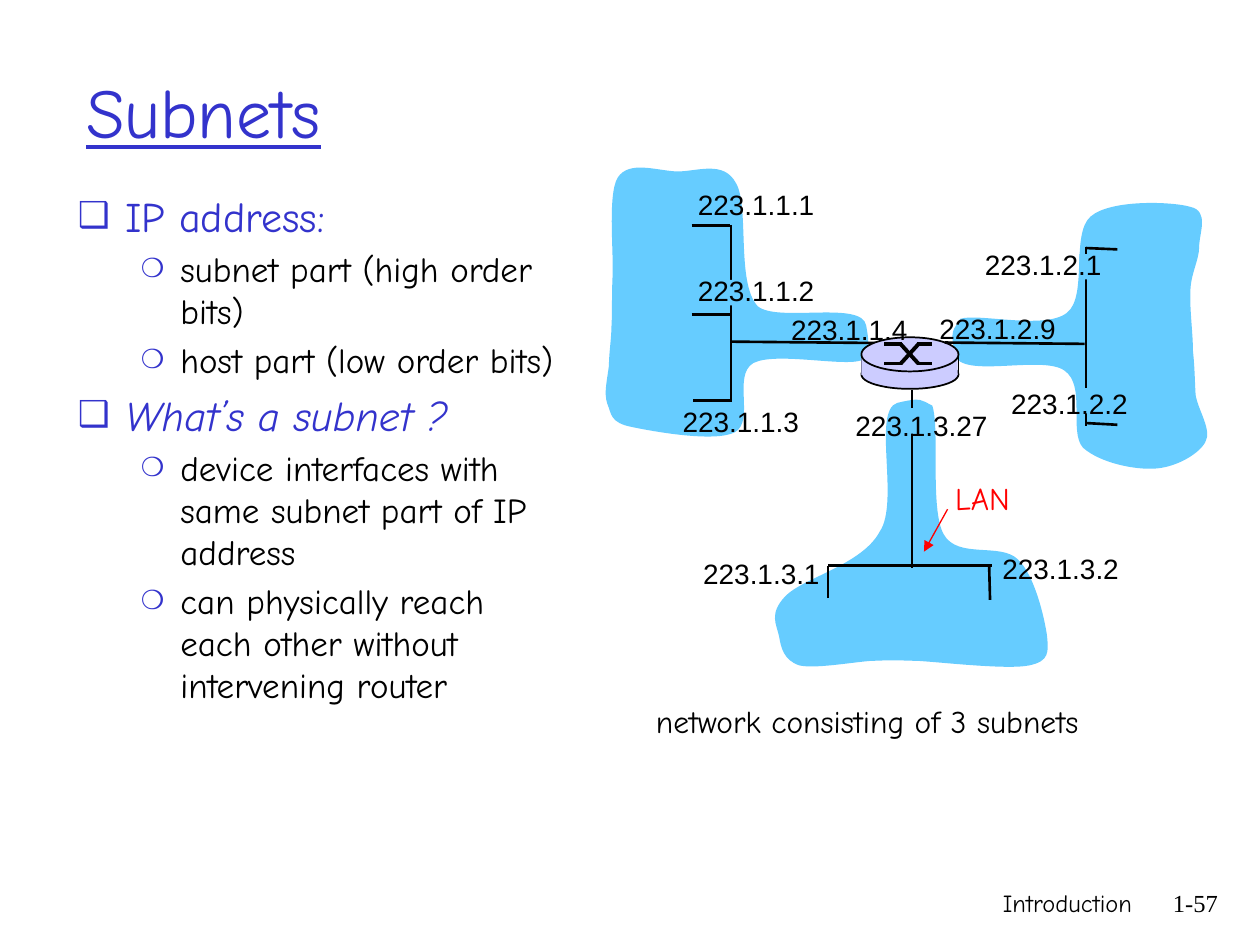
from lxml import etree
from pptx import Presentation
from pptx.dml.color import RGBColor
from pptx.enum.shapes import MSO_CONNECTOR, MSO_SHAPE
from pptx.enum.text import MSO_ANCHOR, MSO_AUTO_SIZE, PP_ALIGN
from pptx.oxml.ns import qn
from pptx.util import Pt

STRAIGHT = MSO_CONNECTOR.STRAIGHT
RECTANGLE, OVAL = MSO_SHAPE.RECTANGLE, MSO_SHAPE.OVAL
LEFT, RIGHT = PP_ALIGN.LEFT, PP_ALIGN.RIGHT
MIDDLE = MSO_ANCHOR.MIDDLE
NO_AUTOFIT = MSO_AUTO_SIZE.NONE

BLACK = RGBColor(0x00, 0x00, 0x00)
INDIGO = RGBColor(0x33, 0x33, 0xCC)
SKY = RGBColor(0x66, 0xCC, 0xFF)
LAVENDER = RGBColor(0xCC, 0xCC, 0xFF)
RED = RGBColor(0xFF, 0x00, 0x00)
COMIC, ARIAL, TIMES = "Comic Neue", "Arial", "Times New Roman"

OUTLINE = [
    (0, "IP address:", False),
    (1, "subnet part (high order bits)", False),
    (1, "host part (low order bits)", False),
    (0, "What’s a subnet ?", True),
    (1, "device interfaces with same subnet part of IP address", False),
    (1, "can physically reach each other without intervening router", False),
]
LEVELS = [
    dict(size=24, color=INDIGO, indent=27, hang=27, bullet="❑", percent=85),
    dict(size=20, color=BLACK, indent=58.5, hang=22.5, bullet="❍", percent=75),
]

LEFT_SUBNET = dict(
    origin=(0, 0),
    cloud=[(150, 94.5), (147.5, 80), (99.5, 93), (88, 83.5), (75.5, 70), (83.5, 26), (75.5, 13),
           (68.5, 0), (53.5, 6.5), (42, 6.5), (30, 6), (14.5, 0), (8, 10), (2, 20), (6, 54), (5, 68),
           (4.5, 82), (5, 86), (4.5, 93.5), (4.5, 102), (3, 110), (3, 117.5), (2, 125.5), (0, 133),
           (2, 139), (4.5, 145), (3.5, 150), (16, 152.5), (28, 155), (63.5, 161.5), (75, 155.5),
           (86.5, 149), (73.5, 123), (85.5, 116), (98, 109.5), (136, 118), (147, 114.5),
           (151, 108), (152.5, 108.5), (150, 94.5)],
    wires=[(50.25, 37.5, 72, 37.5), (72.75, 37, 72.75, 138), (50.25, 88.25, 72, 88.25),
           (51, 137.5, 72.5, 137.5), (72.5, 103.75, 155, 104.5)],
    gaps=[(54, 68.5, 24.5, 14.5)],
    addresses=[("223.1.1.1", 46.75, 12), ("223.1.1.2", 46.75, 61.25),
               ("223.1.1.3", 38, 136), ("223.1.1.4", 100, 83.5)])
RIGHT_SUBNET = dict(
    origin=(197.75, 22.25),
    cloud=[(3, 89), (6.5, 103), (53, 89), (65.5, 98), (78, 106.5), (68, 132.5), (76, 142), (86, 151),
           (106.5, 155), (118, 154), (130, 153), (142.5, 145.5), (146, 139), (150, 132), (142, 121),
           (140.5, 112), (140, 104), (140, 96.5), (139, 87), (139, 77), (137, 62.5), (137.5, 53),
           (137.5, 43), (142.5, 35), (142.5, 27.5), (142.5, 19.5), (148.5, 7), (137.5, 4.5),
           (127.5, 1.5), (92, 0), (80.5, 10), (69, 20), (79, 55.5), (67, 65), (54.5, 75), (16, 65),
           (6, 68.5), (2, 75.5), (0, 74), (3, 89)],
    wires=[(-3, 82, 77, 82.75), (77.75, 27.5, 77.75, 129.5),
           (77.75, 28, 95.75, 28.75), (77.75, 128, 95.75, 129)],
    gaps=[(73.5, 108, 13.5, 14.5), (74, 31.5, 19.5, 14.5)],
    addresses=[("223.1.2.9", -13, 60.5), ("223.1.2.2", 28, 103.75), ("223.1.2.1", 13, 24)])
LOWER_SUBNET = dict(
    origin=(94.25, 135.25),
    cloud=[(73.5, 3.5), (59, 8), (75, 60), (63.5, 77), (53.5, 96), (19.5, 103.5), (9.5, 114),
           (0, 124), (4.5, 130), (6, 137), (7, 143), (8.5, 150.5), (17.5, 153.5), (26, 155.5),
           (46, 152), (57.5, 151), (69, 150.5), (71.5, 150.5), (86.5, 151), (101.5, 152), (137, 156),
           (149, 153.5), (160.5, 151), (160, 146), (159, 136), (157.5, 126), (152, 102), (142.5, 93),
           (132.5, 83), (108, 93), (100, 78.5), (92, 64), (98, 18), (93.5, 5), (87, 2), (88, 0),
           (73.5, 3.5)],
    wires=[(82, -4, 82, 98), (127.5, 96.5, 34, 96.5), (34, 115, 34, 96.5), (126.5, 116, 126, 96.5)],
    gaps=[(77, 6.5, 10, 14.5)],
    addresses=[("223.1.3.2", 126.5, 84.75), ("223.1.3.1", -44.5, 87.75), ("223.1.3.27", 42.5, 3.25)])
SUBNETS = [LEFT_SUBNET, RIGHT_SUBNET, LOWER_SUBNET]


def add_run(paragraph, text, size, font, color):
    """Append one formatted run and return it."""
    run = paragraph.add_run()
    run.text = text
    run.font.size, run.font.name = Pt(size), font
    run.font.color.rgb = color
    return run


def add_label(slide, text, left, top, width, height, size, font, color, align=LEFT, wrap=False):
    """Place a single-line text box."""
    frame = slide.shapes.add_textbox(Pt(left), Pt(top), Pt(width), Pt(height)).text_frame
    frame.word_wrap = wrap
    frame.paragraphs[0].alignment = align
    add_run(frame.paragraphs[0], text, size, font, color)


def add_line(slide, x1, y1, x2, y2, width, color=BLACK):
    """Draw a straight line without shadow and return it."""
    line = slide.shapes.add_connector(STRAIGHT, Pt(x1), Pt(y1), Pt(x2), Pt(y2))
    line.line.width = Pt(width)
    line.line.color.rgb = color
    etree.SubElement(line._element.spPr, qn("a:effectLst"))
    return line


def paint(shape, fill, outlined=False):
    """Fill a shape, with a thin black outline if wanted."""
    shape.shadow.inherit = False
    shape.fill.solid()
    shape.fill.fore_color.rgb = fill
    if outlined:
        shape.line.color.rgb = BLACK
        shape.line.width = Pt(1)
    else:
        shape.line.fill.background()


def add_block(slide, kind, left, top, width, height, fill, outlined=False):
    """Draw a filled preset shape."""
    paint(slide.shapes.add_shape(kind, Pt(left), Pt(top), Pt(width), Pt(height)), fill, outlined)


def draw_cloud(slide, left, top, knots):
    """Draw the area of one subnet, turning each three segments into one Bézier curve."""
    points = [(Pt(left + x), Pt(top + y)) for x, y in knots]
    builder = slide.shapes.build_freeform(*points[0])
    builder.add_line_segments(points[1:], close=True)
    cloud = builder.convert_to_shape()
    segments = list(cloud._element.iter(qn("a:lnTo")))
    for start in range(0, len(knots) - 1, 3):
        curve = etree.Element(qn("a:cubicBezTo"))
        segments[start].addprevious(curve)
        for segment in segments[start:start + 3]:
            curve.append(segment[0])
            segment.getparent().remove(segment)
    paint(cloud, SKY)


def draw_wires(slide, left, top, wires):
    """Draw the cables of one subnet."""
    for x1, y1, x2, y2 in wires:
        add_line(slide, left + x1, top + y1, left + x2, top + y2, 1.5)


def draw_addresses(slide, left, top, gaps, addresses):
    """Break the cables and write the interface addresses there."""
    for x, y, width, height in gaps:
        add_block(slide, RECTANGLE, left + x, top + y, width, height, SKY)
    for address, x, y in addresses:
        add_label(slide, address, left + x, top + y, 9 * len(address), 26.5, 16, ARIAL, BLACK)


def draw_router(slide, left, top, width=55.5):
    """Draw the router as a cylinder with a crossing mark."""
    add_block(slide, OVAL, left, top + 13, width, 16.5, LAVENDER, True)
    for x in (left, left + width):
        add_line(slide, x, top + 11.5, x, top + 21.5, 1)
    add_block(slide, RECTANGLE, left, top + 11.5, width - 0.5, 10, LAVENDER)
    add_block(slide, OVAL, left, top, width, 19.5, LAVENDER, True)
    upper, lower = top + 4, top + 15
    for start, end in ((upper, lower), (lower, upper)):
        add_line(slide, left + 13, start, left + 23, start, 2.25)
        add_line(slide, left + 22.5, start, left + 32.5, end, 2.25)
        add_line(slide, left + 31.5, end, left + 40.5, end, 2.25)


def draw_network(slide, left, top):
    """Draw the three subnets around the router, with caption and LAN pointer."""
    places = [(left + s["origin"][0], top + s["origin"][1], s) for s in SUBNETS]
    for x, y, subnet in places:
        draw_cloud(slide, x, y, subnet["cloud"])
    for index, (x, y, subnet) in enumerate(places):
        draw_wires(slide, x, y, subnet["wires"])
        if index == 0:
            draw_router(slide, left + 147.25, top + 101.25)
    for x, y, subnet in places:
        draw_addresses(slide, x, y, subnet["gaps"], subnet["addresses"])
    add_label(slide, "network consisting of 3 subnets", left + 22.75, top + 306, 281.5, 29, 18, COMIC, BLACK)
    add_label(slide, "LAN", left + 193.75, top + 178.5, 52, 29, 18, COMIC, RED)
    pointer = add_line(slide, left + 196.5, top + 199.5, left + 183, top + 223.75, 0.75, RED)
    etree.SubElement(pointer.line._get_or_add_ln(), qn("a:tailEnd"), type="triangle")


def fill_title(slide, left, top, width, height):
    """Place and format the slide title."""
    title = slide.shapes.title
    title.left, title.top, title.width, title.height = Pt(left), Pt(top), Pt(width), Pt(height)
    frame = title.text_frame
    frame.auto_size, frame.vertical_anchor = NO_AUTOFIT, MIDDLE
    frame.paragraphs[0].alignment = LEFT
    add_run(frame.paragraphs[0], "Subnets", 40, COMIC, INDIGO).font.underline = True


def draw_outline(slide, left, top, width, height):
    """Write the two-level bullet list."""
    frame = slide.shapes.add_textbox(Pt(left), Pt(top), Pt(width), Pt(height)).text_frame
    frame.word_wrap = True
    for index, (depth, text, italic) in enumerate(OUTLINE):
        level = LEVELS[depth]
        paragraph = frame.add_paragraph() if index else frame.paragraphs[0]
        paragraph.level = depth
        props = paragraph._p.get_or_add_pPr()
        props.set("marL", str(Pt(level["indent"])))
        props.set("indent", str(-Pt(level["hang"])))
        bullet_color = etree.SubElement(props, qn("a:buClr"))
        etree.SubElement(bullet_color, qn("a:srgbClr"), val=str(INDIGO))
        etree.SubElement(props, qn("a:buSzPct"), val=str(level["percent"] * 1000))
        etree.SubElement(props, qn("a:buFont"), typeface=ARIAL)
        etree.SubElement(props, qn("a:buChar"), char=level["bullet"])
        paragraph.space_before = Pt(0.2 * level["size"] if index else 0)
        run = add_run(paragraph, text, level["size"], COMIC, level["color"])
        run.font.italic = italic


def draw_footer(slide, left, top, width, height, number_width=49):
    """Write the chapter name and the page number."""
    chapter_width = width - number_width
    add_label(slide, "Introduction", left, top, chapter_width, height, 14, COMIC, BLACK, RIGHT, True)
    add_label(slide, "1-57", left + chapter_width, top, number_width, height, 14, TIMES, BLACK, RIGHT, True)


def main():
    """Build and save the slide."""
    deck = Presentation()
    deck.slide_width, deck.slide_height = Pt(720), Pt(540)
    slide = deck.slides.add_slide(deck.slide_layouts[5])
    draw_footer(slide, 426, 504, 277, 36)
    fill_title(slide, 42, 18, 612, 90)
    draw_outline(slide, 37.5, 105.25, 291, 366)
    draw_network(slide, 345, 91.5)
    deck.save("out.pptx")


if __name__ == "__main__":
    main()
